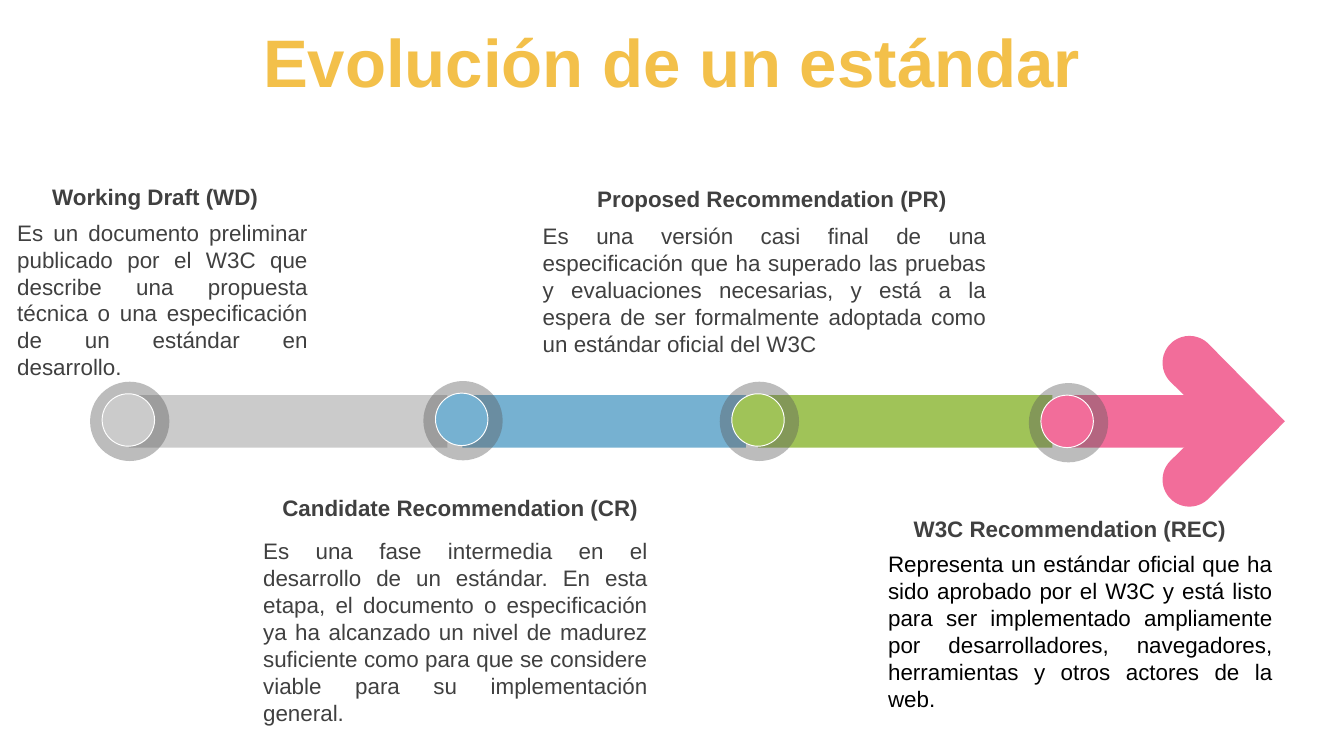
"""Builds a timeline slide with the four stages of a web standard."""
from dataclasses import dataclass
from math import cos, radians, sin

from lxml import etree
from pptx import Presentation, util as u
from pptx.dml.color import RGBColor
from pptx.enum import shapes, text
from pptx.oxml.ns import qn

# Widescreen slide with a grid of 100 square columns across
WIDTH = u.Inches(10)
HEIGHT = WIDTH * 9 // 16
COLUMN = WIDTH / 100
FONT = "Arial"
COLORS = {
    "title": "F3C04A", "text": "404040", "black": "000000",
    "ring": "595959", "white": "FFFFFF", "draft": "CBCBCB",
    "candidate": "76B1D1", "proposed": "A0C358", "final": "F26D9A",
}
BAR_TOP, BAR_HEIGHT = 29.4, 3.9
RING, KNOB, KNOB_INSET = 5.9, 3.9, 0.9
LINE_PITCH = 14.4


@dataclass(frozen=True)
class Box:
    left: float
    top: float
    width: float
    height: float

    def emu(self) -> tuple[int, ...]:
        return tuple(round(value * COLUMN) for value in
                     (self.left, self.top, self.width, self.height))


@dataclass(frozen=True)
class Stage:
    color: str
    bar_left: float
    bar_width: float
    ring_left: float
    ring_top: float
    heading: str
    heading_box: Box
    body: str
    body_box: Box
    heading_align: text.PP_ALIGN = text.PP_ALIGN.LEFT
    body_color: str = "text"


STAGES = [
    Stage("draft", 9.6, 23.7, 6.7, 28.4,
          "Working Draft (WD)", Box(2.9, 12.1, 23.6, 5),
          "Es un documento preliminar publicado por el W3C que describe una "
          "propuesta técnica o una especificación de un estándar en desarrollo.",
          Box(0.3, 15.8, 23.6, 11.1)),
    Stage("candidate", 34.4, 21.1, 31.5, 28.35,
          "Candidate Recommendation (CR)", Box(19.3, 36.25, 29.9, 3),
          "Es una fase intermedia en el desarrollo de un estándar. En esta "
          "etapa, el documento o especificación ya ha alcanzado un nivel de "
          "madurez suficiente como para que se considere viable para su "
          "implementación general.",
          Box(18.6, 39.5, 30.6, 13.1), heading_align=text.PP_ALIGN.CENTER),
    Stage("proposed", 56.4, 21.9, 53.55, 28.4,
          "Proposed Recommendation (PR)", Box(43.45, 13.25, 28.1, 3),
          "Es una versión casi final de una especificación que ha superado "
          "las pruebas y evaluaciones necesarias, y está a la espera de ser "
          "formalmente adoptada como un estándar oficial del W3C",
          Box(39.4, 16.05, 35, 11.1)),
    Stage("final", 79.4, 14.3, 76.55, 28.5,
          "W3C Recommendation (REC)", Box(67, 37.85, 27.7, 3),
          "Representa un estándar oficial que ha sido aprobado por el W3C y "
          "está listo para ser implementado ampliamente por desarrolladores, "
          "navegadores, herramientas y otros actores de la web.",
          Box(65.1, 40.45, 30.6, 11.1), body_color="black"),
]


def write(shape, content: str, *, size: float = 12, color: str = "text",
          bold: bool = False, align=text.PP_ALIGN.LEFT,
          anchor=text.MSO_ANCHOR.TOP, pitch: float | None = None) -> None:
    frame = shape.text_frame
    frame.word_wrap = True
    frame.vertical_anchor = anchor
    paragraph = frame.paragraphs[0]
    paragraph.alignment = align
    if pitch:
        paragraph.line_spacing = u.Pt(pitch)
    run = paragraph.add_run()
    run.text = content
    run.font.name, run.font.size, run.font.bold = FONT, u.Pt(size), bold
    run.font.color.rgb = RGBColor.from_string(COLORS[color])


def paint(shape, color: str, *, opacity: int = 100,
          outline: str | None = None) -> None:
    shape.shadow.inherit = False
    shape.fill.solid()
    shape.fill.fore_color.rgb = RGBColor.from_string(COLORS[color])
    if opacity < 100:
        color_element = shape.element.spPr.find(qn("a:solidFill"))[0]
        etree.SubElement(color_element, qn("a:alpha"), val=str(opacity * 1000))
    if outline:
        shape.line.color.rgb = RGBColor.from_string(COLORS[outline])
        shape.line.width = u.Pt(0.5)
    else:
        shape.line.fill.background()


def draw_bar(slide, stage: Stage) -> None:
    box = Box(stage.bar_left, BAR_TOP, stage.bar_width, BAR_HEIGHT)
    bar = slide.shapes.add_shape(shapes.MSO_SHAPE.RECTANGLE, *box.emu())
    paint(bar, stage.color)


def draw_arrowhead(slide, color: str) -> None:
    """Two round-ended arms, mirrored about the axis, meet at the tip."""
    axis, tip, notch = 31.35, 95.6, 90.1
    center_x, rise, radius = 88.5, 4.35, 2
    cap = [(center_x + radius * cos(radians(angle)),
            rise + radius * sin(radians(angle))) for angle in range(45, 226, 6)]
    points = [(tip, axis), *((x, axis - y) for x, y in cap), (notch, axis),
              *((x, axis + y) for x, y in reversed(cap))]
    points = [(round(x * COLUMN), round(y * COLUMN)) for x, y in points]
    builder = slide.shapes.build_freeform(*points[0])
    builder.add_line_segments(points[1:], close=True)
    paint(builder.convert_to_shape(), color)


def draw_marker(slide, stage: Stage) -> None:
    ring_box = Box(stage.ring_left, stage.ring_top, RING, RING)
    knob_box = Box(stage.ring_left + KNOB_INSET, stage.ring_top + KNOB_INSET,
                   KNOB, KNOB)
    oval = shapes.MSO_SHAPE.OVAL
    paint(slide.shapes.add_shape(oval, *ring_box.emu()), "ring", opacity=40)
    paint(slide.shapes.add_shape(oval, *knob_box.emu()), stage.color,
          outline="white")


def draw_text(slide, stage: Stage) -> None:
    heading = slide.shapes.add_textbox(*stage.heading_box.emu())
    write(heading, stage.heading, bold=True, align=stage.heading_align,
          anchor=text.MSO_ANCHOR.MIDDLE)
    body = slide.shapes.add_textbox(*stage.body_box.emu())
    write(body, stage.body, color=stage.body_color,
          align=text.PP_ALIGN.JUSTIFY, pitch=LINE_PITCH)


def main() -> None:
    presentation = Presentation()
    presentation.slide_width, presentation.slide_height = WIDTH, HEIGHT
    slide = presentation.slides.add_slide(presentation.slide_layouts[5])

    # Title
    title = slide.shapes.title
    title.left, title.top, title.width, title.height = Box(0, 0.3, 100, 8.5).emu()
    write(title, "Evolución de un estándar", size=36, color="title", bold=True,
          align=text.PP_ALIGN.CENTER, anchor=text.MSO_ANCHOR.MIDDLE)

    # Timeline: bars and arrowhead first, markers on top
    for stage in STAGES:
        draw_bar(slide, stage)
    draw_arrowhead(slide, STAGES[-1].color)
    for stage in STAGES:
        draw_marker(slide, stage)

    # Stage descriptions
    for stage in STAGES:
        draw_text(slide, stage)

    presentation.save("out.pptx")


if __name__ == "__main__":
    main()
